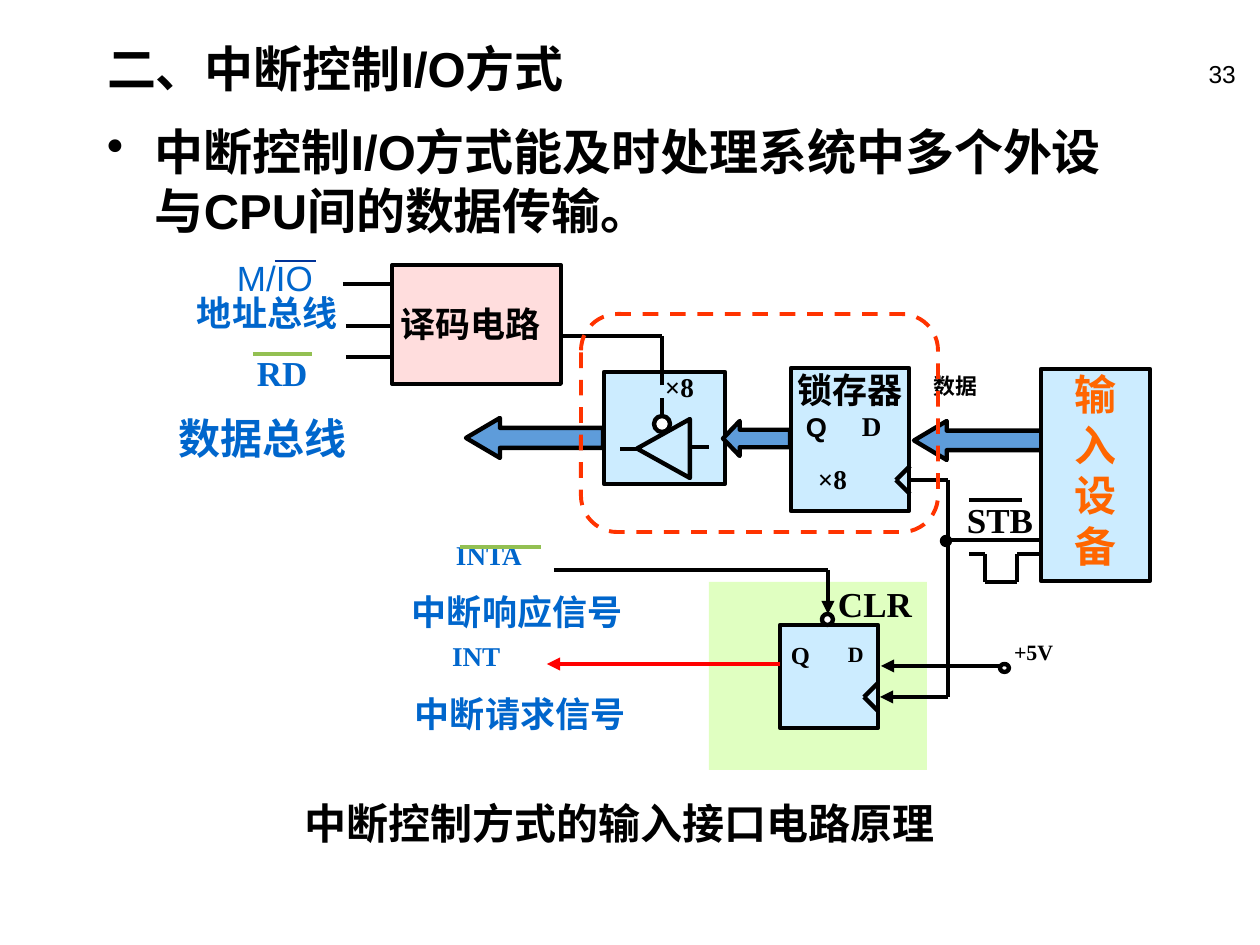
from pptx import Presentation
from pptx.dml.color import RGBColor
from pptx.enum.dml import MSO_LINE
from pptx.enum.shapes import MSO_CONNECTOR, MSO_SHAPE as Kind
from pptx.enum.text import MSO_ANCHOR as Anchor, MSO_AUTO_SIZE as Fit, PP_ALIGN as Align
from pptx.oxml.ns import qn
from pptx.util import Pt
from lxml.etree import SubElement

SCALE = 914400 // 126
BLACK, WHITE, BLUE, PALE = "000000", "FFFFFF", "0066CC", "CCECFF"
GREEN, RED, STEEL = "93C052", "FF0000", "5E9CDA"
SANS, SERIF = "Arial", "Times New Roman"


def px(*nums):
    """Turn pixel lengths into EMU."""
    return [n * SCALE for n in nums]


def rgb(code):
    """Turn a hex string into a colour."""
    return RGBColor.from_string(code)


def write(shape, text, size=20, face=SERIF, color=BLACK, bold=True, align=Align.LEFT,
          space=None, pad=(0, 0), anchor=Anchor.TOP, wrap=True, bullet=None):
    """Fill a shape with formatted text, one paragraph a line."""
    frame = shape.text_frame
    frame.auto_size, frame.word_wrap = Fit.NONE, wrap
    frame.vertical_anchor = anchor
    frame.margin_left = frame.margin_right = pad[0] * SCALE
    frame.margin_top = frame.margin_bottom = pad[1] * SCALE
    frame.text = text
    for para in frame.paragraphs:
        if bullet:
            props = para._p.get_or_add_pPr()
            props.set("marL", str(48 * SCALE))
            props.set("indent", str(-48 * SCALE))
            SubElement(props, qn("a:buChar"), char=bullet)
        para.alignment = align
        if space:
            para.line_spacing = space
        font = para.font
        font.size, font.name, font.bold = Pt(size), face, bold
        font.color.rgb = rgb(color)


def label(slide, box, text, **style):
    """Add a text box."""
    write(slide.shapes.add_textbox(*px(*box)), text, **style)


def block(slide, kind, box, fill=None, line=BLACK, width=2.5, dash=False, turn=0, adj=()):
    """Add a preset shape with its fill and outline."""
    shape = slide.shapes.add_shape(kind, *px(*box))
    shape.shadow.inherit = False
    shape.rotation = turn
    for i, value in enumerate(adj):
        shape.adjustments[i] = value
    if fill:
        shape.fill.solid()
        shape.fill.fore_color.rgb = rgb(fill)
    else:
        shape.fill.background()
    if line:
        shape.line.color.rgb = rgb(line)
        shape.line.width = Pt(width)
        if dash:
            shape.line.dash_style = MSO_LINE.DASH
    else:
        shape.line.fill.background()
    return shape


def wire(slide, *points, color=BLACK, width=2.5, dash=False, arrow=False):
    """Join points with straight connectors, with an arrowhead at the end if asked."""
    for start, end in zip(points, points[1:]):
        link = slide.shapes.add_connector(MSO_CONNECTOR.STRAIGHT, *px(*start, *end))
        link.line.color.rgb = rgb(color)
        link.line.width = Pt(width)
        if dash:
            link.line.dash_style = MSO_LINE.DASH
        SubElement(link._element.spPr, qn("a:effectLst"))
    if arrow:
        SubElement(link.line._get_or_add_ln(), qn("a:tailEnd"), type="triangle")


def head(slide):
    """Set the title, page number and opening point."""
    title = slide.shapes.title
    title.left, title.top, title.width, title.height = px(94, 21, 1071, 94)
    write(title, "二、中断控制I/O方式", size=28, face=SANS, pad=(13, 6), anchor=Anchor.MIDDLE)
    label(slide, (987, 53, 262, 63), "33", size=14, face=SANS, bold=False,
          align=Align.RIGHT, pad=(13, 6))
    label(slide, (94, 116, 1061, 168), "中断控制I/O方式能及时处理系统中多个外设与CPU间的数据传输。",
          size=28, face=SANS, pad=(13, 6), bullet="•")


def decoder(slide):
    """Draw the decoder with its bus signals."""
    wire(slide, (483, 336), (662, 336), (662, 373))
    for left, y in ((343, 284), (346, 326), (346, 357)):
        wire(slide, (left, y), (412, y))
    box = block(slide, Kind.RECTANGLE, (392, 265, 169, 119), "FFDDDD", width=2.25)
    label(slide, (388, 296, 165, 55), "译码电路", face=SANS, align=Align.CENTER,
          anchor=Anchor.MIDDLE, wrap=False)
    label(slide, (237, 256, 76, 42), "M/IO", face=SANS, color=BLUE, bold=False, wrap=False)
    wire(slide, (275, 261), (316, 261), color="003399", width=1.25)
    label(slide, (197, 296, 147, 55), "地址总线", color=BLUE, space=0.9)
    label(slide, (257, 352, 74, 49), "RD", color=BLUE)
    wire(slide, (253, 354), (312, 354), color=GREEN, width=2.25)
    label(slide, (179, 413, 273, 53), "数据总线", size=24, color=BLUE)


def latch(slide):
    """Draw the latch with its clock input."""
    label(slide, (934, 378, 71, 29), "数据", size=12.5, space=0.8)
    block(slide, Kind.LEFT_ARROW, (914, 421, 132, 39), STEEL, adj=(0.5, 0.84))
    box = block(slide, Kind.RECTANGLE, (791, 368, 118, 143), PALE)
    write(box, "锁存器", align=Align.CENTER)
    wire(slide, (910, 466), (896, 480), (910, 494))
    label(slide, (818, 469, 53, 34), "×8", size=15.5, space=0.8)
    label(slide, (862, 416, 44, 34), "D", size=15.5, space=0.8)
    label(slide, (794, 417, 45, 34), "Q", size=15.5, face=SANS, align=Align.CENTER, space=0.8)


def buffer(slide):
    """Draw the tri-state buffer and the data arrows beside it."""
    block(slide, Kind.RECTANGLE, (604, 372, 121, 112), PALE)
    block(slide, Kind.OVAL, (654, 416, 16, 16), WHITE)
    wire(slide, (662, 416), (662, 372), dash=True)
    block(slide, Kind.ISOSCELES_TRIANGLE, (634, 422, 59, 53), PALE, turn=270)
    wire(slide, (638, 449), (620, 449))
    wire(slide, (690, 447), (709, 447))
    label(slide, (665, 377, 53, 34), "×8", size=15.5, space=0.8)
    block(slide, Kind.LEFT_ARROW, (723, 421, 67, 35), STEEL, adj=(0.5, 0.48))
    block(slide, Kind.LEFT_ARROW, (466, 418, 137, 40), STEEL, adj=(0.5, 0.85))


def trigger(slide):
    """Draw the interrupt flip-flop with its wiring."""
    wire(slide, (910, 480), (948, 480), (948, 697), (880, 697), arrow=True)
    block(slide, Kind.OVAL, (942, 537, 8, 8), BLACK)
    block(slide, Kind.RECTANGLE, (780, 625, 98, 103), PALE)
    label(slide, (848, 646, 37, 28), "D", size=12.5, space=0.8)
    label(slide, (785, 646, 25, 33), "Q", size=14, align=Align.RIGHT, space=0.8)
    label(slide, (838, 582, 95, 42), "CLR")
    wire(slide, (554, 570), (828, 570), (828, 614), arrow=True)
    block(slide, Kind.OVAL, (822, 614, 11, 11), WHITE)
    wire(slide, (878, 683), (864, 697), (878, 711))
    wire(slide, (1000, 666), (881, 666), arrow=True)
    block(slide, Kind.OVAL, (1000, 664, 9, 8), WHITE)
    label(slide, (1014, 644, 43, 34), "+5V", size=12.5, space=0.8)
    wire(slide, (780, 664), (547, 664), color=RED, arrow=True)


def signals(slide):
    """Name the interrupt signals."""
    for name, left, top in (("INTA", 456, 545), ("INT", 452, 646)):
        label(slide, (left, top, 134, 35), name, size=15.5, color=BLUE, space=0.8)
    wire(slide, (460, 547), (541, 547), color=GREEN)
    for name, left, top in (("中断响应信号", 412, 591), ("中断请求信号", 415, 693)):
        label(slide, (left, top, 304, 48), name, color=BLUE)


def device(slide):
    """Draw the input device with its strobe."""
    wire(slide, (948, 540), (1050, 540))
    label(slide, (945, 498, 110, 84), "STB", align=Align.CENTER)
    wire(slide, (969, 500), (1022, 500))
    wire(slide, (1041, 554), (1017, 554), (1017, 582), (985, 582), (985, 554), (969, 554))
    box = block(slide, Kind.RECTANGLE, (1041, 369, 109, 212), PALE)
    write(box, "输\n入\n设\n备", size=24, color="FF6600", align=Align.CENTER)


def main():
    """Build the slide and save it."""
    deck = Presentation()
    deck.slide_width, deck.slide_height = px(1260, 945)
    slide = deck.slides.add_slide(deck.slide_layouts[5])
    head(slide)
    block(slide, Kind.RECTANGLE, (709, 582, 218, 188), "E0FFC1", line=None)
    for draw in (decoder, latch, trigger, buffer, signals, device):
        draw(slide)
    label(slide, (305, 798, 672, 55), "中断控制方式的输入接口电路原理", size=24)
    block(slide, Kind.ROUNDED_RECTANGLE, (581, 314, 357, 218), line="FF3300",
          width=2.25, dash=True)
    deck.save("out.pptx")


if __name__ == "__main__":
    main()
